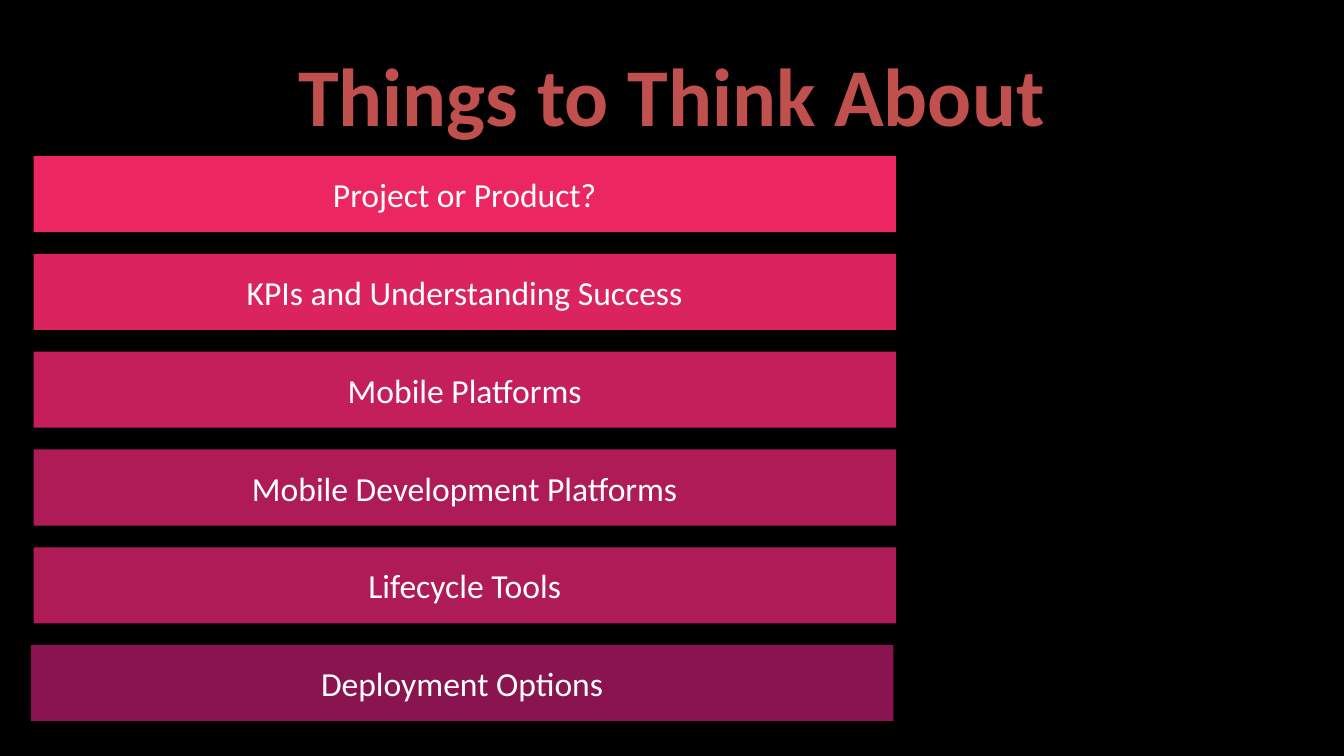
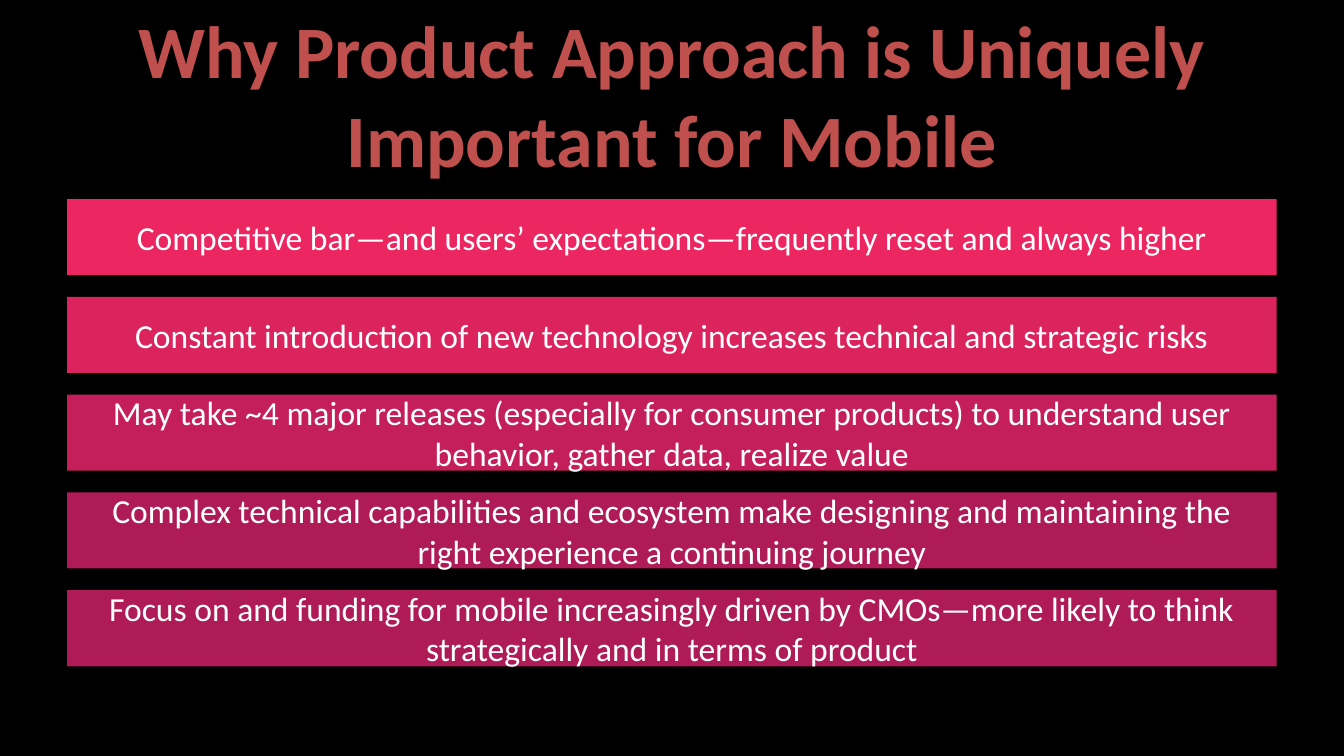
"""Build two slides of stacked topic bars under a bold title."""
from pptx import Presentation
from pptx.dml.color import RGBColor
from pptx.enum.shapes import MSO_SHAPE as Shape
from pptx.enum.text import MSO_ANCHOR as Anchor, MSO_AUTO_SIZE as AutoSize, PP_ALIGN as Align
from pptx.util import Pt

COLORS = {
    "background": "000000",
    "title": "C0504D",
    "text": "FFFFFF",
    "pink": "EC2661",
    "rose": "DB235E",
    "crimson": "C41F5A",
    "berry": "AF1B57",
    "plum": "8A144F",
}
BAR_FILLS = ["pink", "rose", "crimson", "berry", "berry", "plum"]
FONT = "Calibri"
BAR_HEIGHT = 40.8
BAR_PITCH = 52.4

SLIDES = [
    {
        "title": "Things to Think About",
        "title_size": 44,
        "top": 83.6,
        "width": 462,
        "bars": [
            (18, "Project or Product?"),
            (18, "KPIs and Understanding Success"),
            (18, "Mobile Platforms"),
            (18, "Mobile Development Platforms"),
            (18, "Lifecycle Tools"),
            (16.6, "Deployment Options"),
        ],
    },
    {
        "title": "Why Product Approach is Uniquely Important for Mobile",
        "title_size": 39.6,
        "top": 106.6,
        "width": 648,
        "bars": [
            (36, "Competitive bar—and users’ expectations—frequently reset and always higher"),
            (36, "Constant introduction of new technology increases technical and strategic risks"),
            (36, "May take ~4 major releases (especially for consumer products) "
                 "to understand user behavior, gather data, realize value"),
            (36, "Complex technical capabilities and ecosystem make designing and "
                 "maintaining the right experience a continuing journey"),
            (36, "Focus on and funding for mobile increasingly driven by CMOs—more "
                 "likely to think strategically and in terms of product"),
        ],
    },
]


def rgb(name):
    return RGBColor.from_string(COLORS[name])


def write_centered(shape, text, size, color, bold=False):
    frame = shape.text_frame
    frame.word_wrap = True
    frame.auto_size = AutoSize.NONE
    frame.vertical_anchor = Anchor.MIDDLE
    para = frame.paragraphs[0]
    para.alignment = Align.CENTER
    span = para.add_run()
    span.text = text
    span.font.name = FONT
    span.font.size = Pt(size)
    span.font.bold = bold
    span.font.color.rgb = rgb(color)


deck = Presentation()
deck.slide_width, deck.slide_height = Pt(720), Pt(405)
title_only = deck.slide_layouts[5]

for content in SLIDES:
    page = deck.slides.add_slide(title_only)
    page.background.fill.solid()
    page.background.fill.fore_color.rgb = rgb("background")

    title = page.shapes.title
    title.left, title.top, title.width, title.height = Pt(36), Pt(16.4), Pt(648), Pt(67.5)
    write_centered(title, content["title"], content["title_size"], "title", bold=True)

    for row, ((left, text), fill) in enumerate(zip(content["bars"], BAR_FILLS)):
        top = content["top"] + row * BAR_PITCH
        bar = page.shapes.add_shape(
            Shape.RECTANGLE, Pt(left), Pt(top), Pt(content["width"]), Pt(BAR_HEIGHT))
        bar.shadow.inherit = False
        bar.fill.solid()
        bar.fill.fore_color.rgb = rgb(fill)
        bar.line.fill.background()
        write_centered(bar, text, 18, "text")

deck.save("out.pptx")
